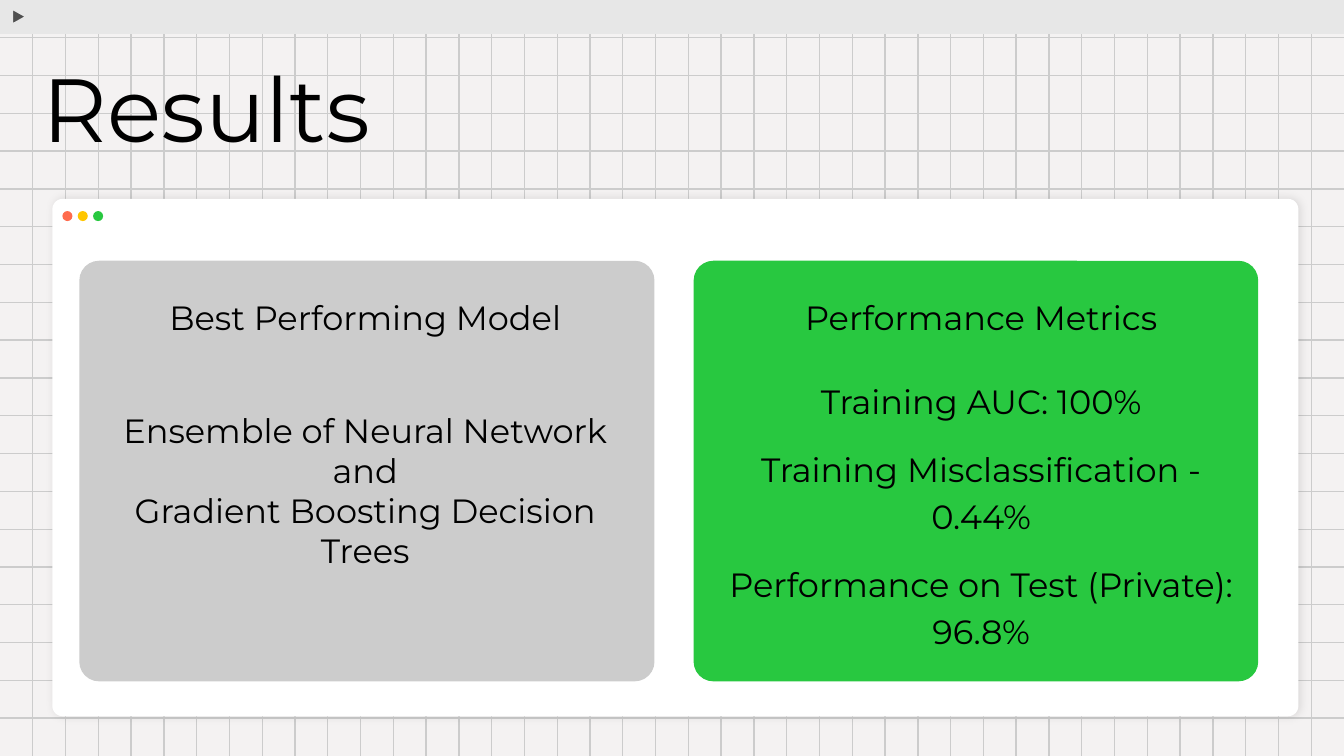
"""Build the Results slide: two panels inside a window on grid paper."""
from lxml import etree
from pptx import Presentation
from pptx.dml.color import RGBColor
from pptx.enum.shapes import MSO_CONNECTOR, MSO_SHAPE
from pptx.enum.text import MSO_ANCHOR, PP_ALIGN
from pptx.oxml import parse_xml
from pptx.oxml.ns import nsdecls, qn
from pptx.util import Cm, Pt

STRAIGHT = MSO_CONNECTOR.STRAIGHT
RECTANGLE = MSO_SHAPE.RECTANGLE
ROUNDED = MSO_SHAPE.ROUNDED_RECTANGLE
OVAL = MSO_SHAPE.OVAL
TRIANGLE = MSO_SHAPE.ISOSCELES_TRIANGLE
TOP = MSO_ANCHOR.TOP
LEFT = PP_ALIGN.LEFT
CENTER = PP_ALIGN.CENTER

PAPER = RGBColor(0xF4, 0xF2, 0xF2)
GREY = RGBColor(0xCC, 0xCC, 0xCC)
BAR = RGBColor(0xE7, 0xE7, 0xE7)
DARK = RGBColor(0x4F, 0x4F, 0x4F)
WHITE = RGBColor(0xFF, 0xFF, 0xFF)
BLACK = RGBColor(0x00, 0x00, 0x00)
RED = RGBColor(0xFF, 0x6B, 0x4D)
YELLOW = RGBColor(0xFF, 0xC6, 0x00)
GREEN = RGBColor(0x28, 0xC8, 0x40)

FONT = "Montserrat"
WIDTH, HEIGHT = 25.4, 14.29
GRID_COLUMNS, GRID_ROWS = 41, 20
INSET = Cm(0.25)


def add_grid_line(slide, x1, y1, x2, y2):
    """Draw one thin grey line without a shadow."""
    line = slide.shapes.add_connector(STRAIGHT, Cm(x1), Cm(y1), Cm(x2), Cm(y2))
    line.line.color.rgb = GREY
    line.line.width = Pt(0.75)
    etree.SubElement(line._element.spPr, qn("a:effectLst"))


def add_grid(slide):
    """Divide the slide into equal rows and columns."""
    for row in range(1, GRID_ROWS):
        y = HEIGHT * row / GRID_ROWS
        add_grid_line(slide, 0, y, WIDTH, y)
    for column in range(1, GRID_COLUMNS):
        x = WIDTH * column / GRID_COLUMNS
        add_grid_line(slide, x, 0, x, HEIGHT)


def add_block(slide, kind, left, top, width, height, fill, corner=None):
    """Add a filled shape with no outline and no shadow."""
    shape = slide.shapes.add_shape(kind, Cm(left), Cm(top), Cm(width), Cm(height))
    shape.shadow.inherit = False
    shape.fill.solid()
    shape.fill.fore_color.rgb = fill
    shape.line.fill.background()
    if corner is not None:
        shape.adjustments[0] = corner
    return shape


def add_soft_shadow(shape):
    """Give a shape a faint shadow to the right."""
    effects = shape._element.spPr.find(qn("a:effectLst"))
    effects.append(parse_xml(
        f'<a:outerShdw {nsdecls("a")} blurRad="{Pt(4.5)}" dist="{Pt(1.5)}" dir="0" '
        'algn="bl" rotWithShape="0"><a:srgbClr val="000000">'
        '<a:alpha val="11000"/></a:srgbClr></a:outerShdw>'))


def add_top_bar(slide):
    """Add the bar along the top edge with its play mark."""
    add_block(slide, RECTANGLE, 0, 0, WIDTH, 0.64, BAR)
    mark = add_block(slide, TRIANGLE, 0.22, 0.19, 0.28, 0.25, DARK)
    mark.rotation = 90
    mark.line.color.rgb = BAR
    mark.line.width = Pt(0.75)


def add_window(slide):
    """Add the white window and its three buttons."""
    window = add_block(slide, ROUNDED, 0.99, 3.76, 23.55, 9.78, WHITE, 0.02)
    add_soft_shadow(window)
    for index, color in enumerate((RED, YELLOW, GREEN)):
        add_block(slide, OVAL, 1.18 + 0.29 * index, 3.99, 0.19, 0.19, color)


def add_text(slide, left, top, width, height, lines, size=18, align=CENTER,
             line_spacing=1.0, gap=0):
    """Add a text box with one paragraph per line and a gap between them."""
    box = slide.shapes.add_textbox(Cm(left), Cm(top), Cm(width), Cm(height))
    frame = box.text_frame
    frame.word_wrap = True
    frame.vertical_anchor = TOP
    frame.margin_left = frame.margin_right = INSET
    frame.margin_top = frame.margin_bottom = INSET
    frame.text = "\n".join(lines)
    for index, paragraph in enumerate(frame.paragraphs):
        paragraph.alignment = align
        paragraph.line_spacing = line_spacing
        paragraph.space_before = Pt(gap if index else 0)
        paragraph.font.name = FONT
        paragraph.font.size = Pt(size)
        paragraph.font.color.rgb = BLACK


def main():
    """Build and save the slide."""
    presentation = Presentation()
    presentation.slide_width = Cm(WIDTH)
    presentation.slide_height = Cm(HEIGHT)
    slide = presentation.slides.add_slide(presentation.slide_layouts[6])
    slide.background.fill.solid()
    slide.background.fill.fore_color.rgb = PAPER

    add_grid(slide)
    add_top_bar(slide)
    add_text(slide, 0.56, 0.99, 13.94, 2.36, ["Results"], 48, LEFT, 0.9)
    add_window(slide)
    add_block(slide, ROUNDED, 13.11, 4.93, 10.67, 7.95, GREEN, 0.047)
    add_block(slide, ROUNDED, 1.5, 4.93, 10.87, 7.95, GREY, 0.047)

    add_text(slide, 1.42, 5.36, 10.97, 1.27, ["Best Performing Model"])
    add_text(slide, 13.11, 5.36, 10.87, 1.27, ["Performance Metrics"])
    add_text(slide, 1.42, 7.49, 10.97, 2.82, [
        "Ensemble of Neural Network",
        "and",
        "Gradient Boosting Decision Trees",
    ])
    add_text(slide, 13.11, 6.83, 10.87, 4.8, [
        "Training AUC: 100%",
        "Training Misclassification - 0.44%",
        "Performance on Test (Private): 96.8%",
    ], line_spacing=1.15, gap=12)
    presentation.save("out.pptx")


if __name__ == "__main__":
    main()
